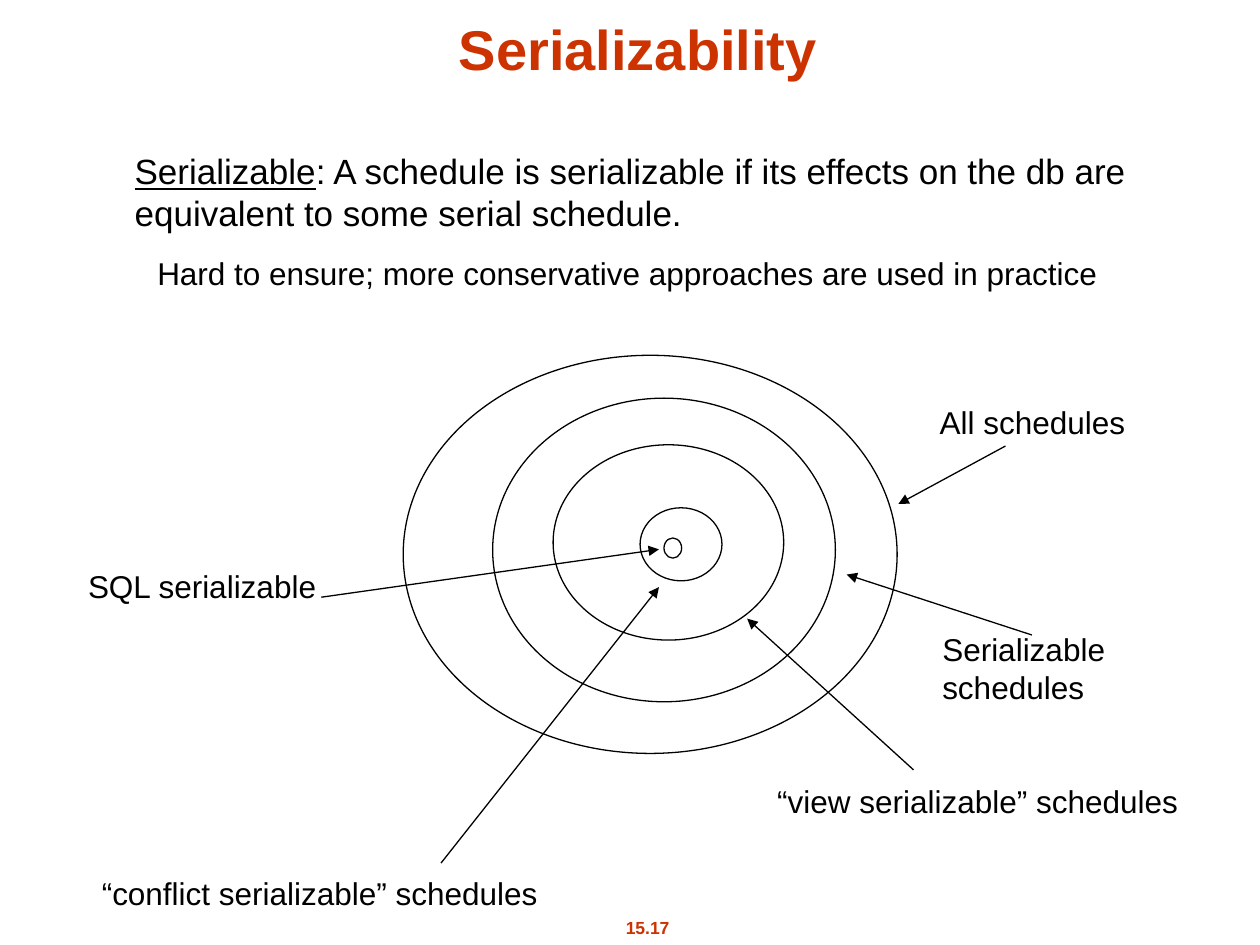
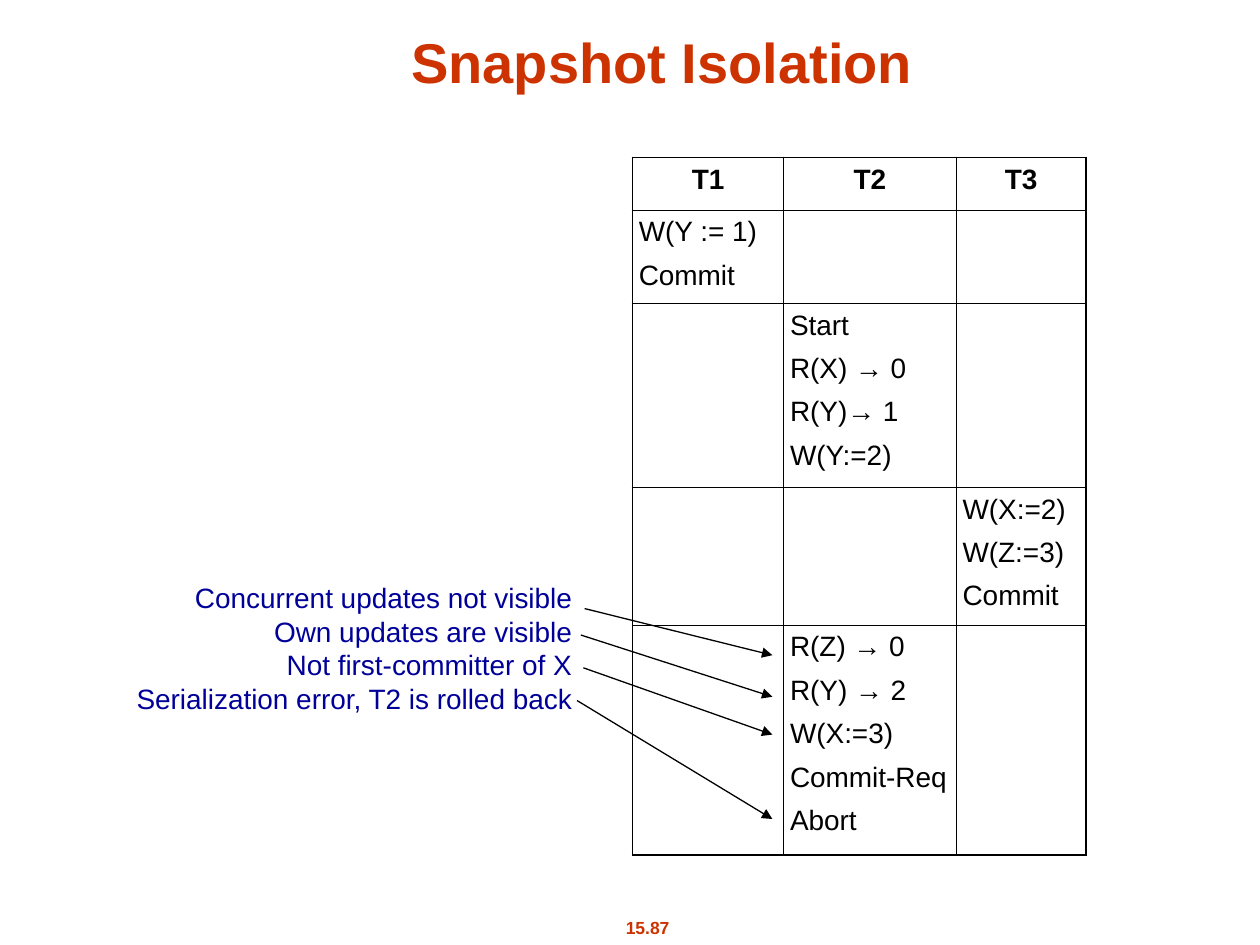
"""Builds two slides on serializability and snapshot isolation."""
from lxml.etree import SubElement
from pptx import Presentation
from pptx.dml.color import RGBColor
from pptx.enum.shapes import MSO_CONNECTOR, MSO_SHAPE
from pptx.enum.text import MSO_ANCHOR, MSO_AUTO_SIZE, PP_ALIGN
from pptx.oxml.ns import qn
from pptx.util import Inches, Pt

COLORS = {"heading": "CC3300", "ink": "000000", "note": "000099"}
FONT = "Arial"
OUTER_BORDER, INNER_BORDER = 1.08, 0.45

RINGS = [
    (3.2, 2.82, 3.92, 3.16),
    (3.91, 3.16, 2.72, 2.41),
    (4.39, 3.53, 1.83, 1.55),
    (5.08, 4.03, 0.65, 0.58),
    (5.27, 4.27, 0.14, 0.16),
]
RING_LABELS = [
    ("All schedules", (7.36, 3.15, 1.67, 0.4), (7.98, 3.54), (7.13, 4)),
    ("Serializable schedules", (7.38, 4.95, 2.68, 0.4), (8.19, 5.04), (6.72, 4.56)),
    ("“view serializable” schedules", (6.07, 6.16, 3.38, 0.4), (7.25, 6.11), (5.93, 4.91)),
    ("“conflict serializable” schedules", (0.71, 6.89, 3.66, 0.4), (3.5, 6.85), (5.23, 4.66)),
    ("SQL serializable", (0.6, 4.45, 2.02, 0.4), (2.55, 4.74), (5.23, 4.36)),
]

TRANSACTIONS = ["T1", "T2", "T3"]
COLUMN_WIDTHS = [1.2, 1.37, 1.03]
STEPS = [
    (0, 0.74, ["W(Y := 1)", "Commit"]),
    (1, 1.46, ["Start", "R(X) → 0", "R(Y)→ 1", "W(Y:=2)"]),
    (2, 1.09, ["W(X:=2)", "W(Z:=3)", "Commit"]),
    (1, 1.82, ["R(Z) → 0", "R(Y) → 2", "W(X:=3)", "Commit-Req", "Abort"]),
]
HEADER_HEIGHT = 0.42
NOTE_TIP_X = 6.13
NOTES = [
    ("Concurrent updates not visible", (4.64, 4.83), 5.2),
    ("Own updates are visible", (4.61, 5.04), 5.53),
    ("Not first-committer of X", (4.63, 5.3), 5.83),
    ("Serialization error, T2 is rolled back", (4.58, 5.56), 6.5),
]


def rgb(color):
    """Return the named colour."""
    return RGBColor.from_string(COLORS[color])


def add_run(paragraph, wording, size, color="ink", bold=False, underline=False):
    """Add one styled run to a paragraph."""
    run = paragraph.add_run()
    run.text = wording
    font = run.font
    font.name, font.size = FONT, Pt(size)
    font.bold, font.underline = bold, underline
    font.color.rgb = rgb(color)


def fill_lines(frame, lines, size, align=PP_ALIGN.LEFT, gap=0, **style):
    """Write each line as a paragraph, with a gap between paragraphs."""
    for index, line in enumerate(lines):
        paragraph = frame.add_paragraph() if index else frame.paragraphs[0]
        paragraph.alignment = align
        paragraph.space_before = Pt(gap if index else 0)
        add_run(paragraph, line, size, **style)


def add_frame(slide, box):
    """Add an unwrapped text box and return its text frame."""
    frame = slide.shapes.add_textbox(*map(Inches, box)).text_frame
    frame.word_wrap = False
    frame.auto_size = MSO_AUTO_SIZE.SHAPE_TO_FIT_TEXT
    return frame


def add_ring(slide, box):
    """Add an unfilled ellipse."""
    ring = slide.shapes.add_shape(MSO_SHAPE.OVAL, *map(Inches, box))
    ring.shadow.inherit = False
    ring.fill.background()
    ring.line.color.rgb = rgb("ink")
    ring.line.width = Pt(0.75)


def add_arrow(slide, start, tip):
    """Add a thin straight arrow from start to tip."""
    arrow = slide.shapes.add_connector(MSO_CONNECTOR.STRAIGHT, *map(Inches, (*start, *tip)))
    arrow.line.color.rgb = rgb("ink")
    arrow.line.width = Pt(0.75)
    SubElement(arrow.line._get_or_add_ln(), qn("a:tailEnd"), type="triangle")
    SubElement(arrow._element.spPr, qn("a:effectLst"))


def set_borders(cell, outer_sides):
    """Draw the cell borders, heavier on the outer sides of the table."""
    properties = cell._tc.get_or_add_tcPr()
    for side in "LRTB":
        width = OUTER_BORDER if side in outer_sides else INNER_BORDER
        border = SubElement(properties, qn(f"a:ln{side}"), w=str(Pt(width)))
        SubElement(SubElement(border, qn("a:solidFill")), qn("a:srgbClr"), val=COLORS["ink"])


def add_schedule(slide, left, top):
    """Add the table of transactions and their steps."""
    heights = [HEADER_HEIGHT] + [height for _, height, _ in STEPS]
    size = map(Inches, (left, top, sum(COLUMN_WIDTHS), sum(heights)))
    schedule = slide.shapes.add_table(len(heights), len(COLUMN_WIDTHS), *size).table
    schedule.first_row = schedule.horz_banding = False
    for column, width in zip(schedule.columns, COLUMN_WIDTHS):
        column.width = Inches(width)
    for row, height in zip(schedule.rows, heights):
        row.height = Inches(height)

    last_row, last_column = len(heights) - 1, len(COLUMN_WIDTHS) - 1
    for r in range(len(heights)):
        for c in range(len(COLUMN_WIDTHS)):
            cell = schedule.cell(r, c)
            cell.margin_left = cell.margin_right = Inches(0.05)
            cell.margin_top = cell.margin_bottom = Inches(0.05)
            edges = {"L": c == 0, "R": c == last_column, "T": r == 0, "B": r == last_row}
            set_borders(cell, [side for side, is_outer in edges.items() if is_outer])
            cell.fill.background()

    for c, name in enumerate(TRANSACTIONS):
        fill_lines(schedule.cell(0, c).text_frame, [name], 16, PP_ALIGN.CENTER, bold=True)
    for r, (c, _, operations) in enumerate(STEPS, start=1):
        fill_lines(schedule.cell(r, c).text_frame, operations, 16, gap=7)


def add_titled_slide(deck, title, title_left, title_top, number):
    """Add a blank slide with its title and page number."""
    slide = deck.slides.add_slide(deck.slide_layouts[6])
    heading = add_frame(slide, (title_left, title_top, 8.83, 0.67))
    heading.word_wrap = True
    heading.auto_size = MSO_AUTO_SIZE.NONE
    heading.vertical_anchor = MSO_ANCHOR.BOTTOM
    fill_lines(heading, [title], 32, PP_ALIGN.CENTER, color="heading", bold=True)
    footer = add_frame(slide, (4.61, 7.23, 1.06, 0.27))
    fill_lines(footer, [number], 10, PP_ALIGN.CENTER, color="heading", bold=True)
    return slide


def build_serializability(deck):
    """Build the slide of nested schedule classes."""
    slide = add_titled_slide(deck, "Serializability", 0.65, 0.03, "15.17")
    definition = add_frame(slide, (0.97, 1.14, 8.18, 0.77))
    opening = definition.paragraphs[0]
    add_run(opening, "Serializable", 20, underline=True)
    add_run(opening, ": A schedule is serializable if its effects on the db are", 20)
    add_run(definition.add_paragraph(), "equivalent to some serial schedule.", 20)
    remark = add_frame(slide, (1.15, 1.97, 7.8, 0.4))
    fill_lines(remark, ["Hard to ensure; more conservative approaches are used in practice"], 18)
    for box in RINGS:
        add_ring(slide, box)
    for label, box, start, tip in RING_LABELS:
        fill_lines(add_frame(slide, box), [label], 18)
        add_arrow(slide, start, tip)


def build_snapshot_isolation(deck):
    """Build the slide of the annotated transaction schedule."""
    slide = add_titled_slide(deck, "Snapshot Isolation", 0.84, 0.13, "15.87")
    add_schedule(slide, 5.02, 1.25)
    notes = add_frame(slide, (0.97, 4.56, 3.67, 1.17))
    fill_lines(notes, [note for note, _, _ in NOTES], 16, PP_ALIGN.RIGHT, color="note")
    for _, start, tip_y in NOTES:
        add_arrow(slide, start, (NOTE_TIP_X, tip_y))


def main():
    """Build and save the deck."""
    deck = Presentation()
    deck.slide_width, deck.slide_height = Inches(10), Inches(7.5)
    build_serializability(deck)
    build_snapshot_isolation(deck)
    deck.save("out.pptx")


if __name__ == "__main__":
    main()
